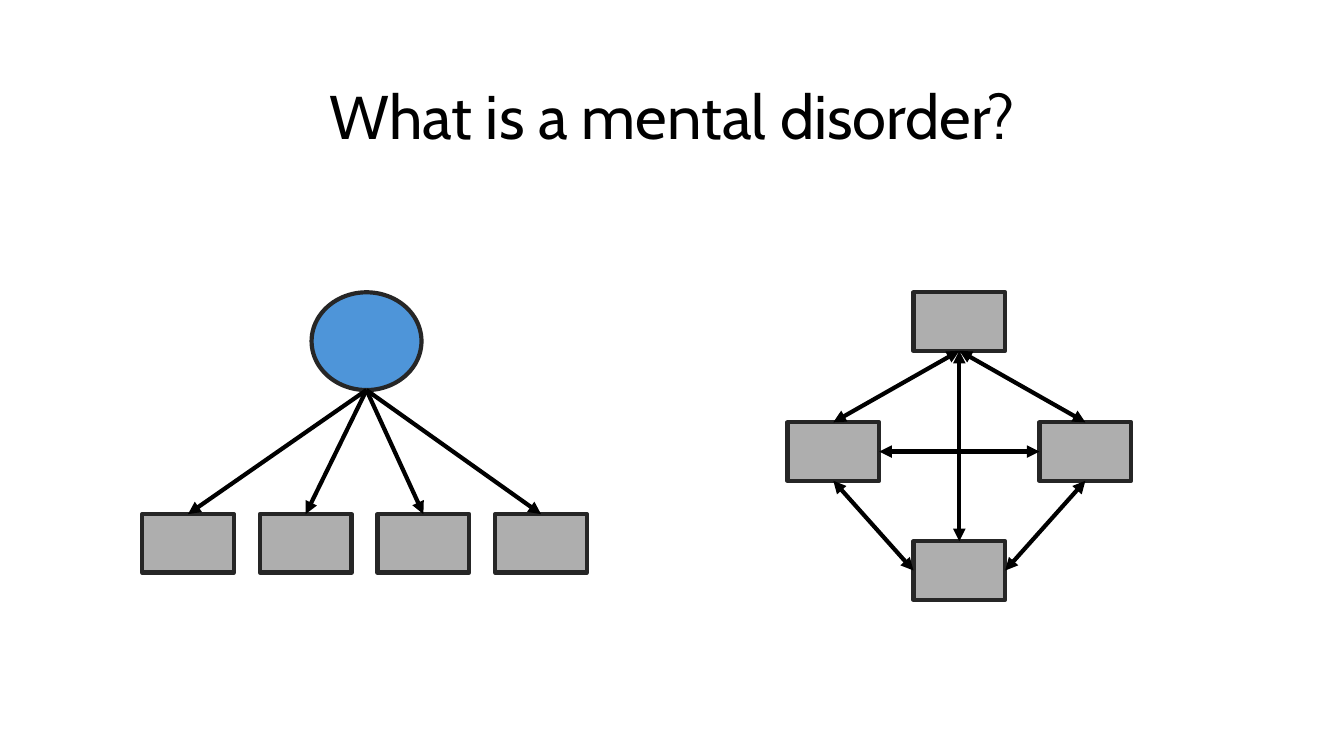
import pptx
import pptx.util
import pptx.dml.color
import pptx.enum.shapes
import pptx.enum.text
import pptx.oxml.ns
import lxml.etree

Inches = pptx.util.Inches
Pt = pptx.util.Pt
MSO = pptx.enum.shapes.MSO_SHAPE
TOP, LEFT, BOTTOM, RIGHT = range(4)

TITLE = "What is a mental disorder?"
BOX_W, BOX_H = 0.91, 0.58
CAUSE = (3.09, 2.9, 1.09, 0.97)
SYMPTOM_X, SYMPTOM_Y, SYMPTOM_STEP, SYMPTOM_COUNT = 1.41, 5.1, 1.167, 4
NETWORK = {
    "west": (7.81, 4.19),
    "north": (9.06, 2.9),
    "east": (10.31, 4.19),
    "south": (9.06, 5.37),
}
LINKS = [
    ("west", TOP, "north", BOTTOM),
    ("south", TOP, "north", BOTTOM),
    ("east", TOP, "north", BOTTOM),
    ("east", BOTTOM, "south", RIGHT),
    ("west", BOTTOM, "south", LEFT),
    ("west", RIGHT, "east", LEFT),
]


def rgb(color):
    return pptx.dml.color.RGBColor.from_string(color)


def add_text(s, text, x, y, w, h, size=18, font="Cabin", color="000000"):
    sp = s.shapes.add_textbox(Inches(x), Inches(y), Inches(w), Inches(h))
    tf = sp.text_frame
    tf.word_wrap = True
    tf.vertical_anchor = pptx.enum.text.MSO_ANCHOR.MIDDLE
    p = tf.paragraphs[0]
    p.alignment = pptx.enum.text.PP_ALIGN.CENTER
    p.line_spacing = 0.9
    r = p.add_run()
    r.text = text
    r.font.name = font
    r.font.size = Pt(size)
    r.font.color.rgb = rgb(color)


def add_node(s, x, y, w=BOX_W, h=BOX_H, kind=MSO.FLOWCHART_PROCESS, fill="AEAEAE"):
    sp = s.shapes.add_shape(kind, Inches(x), Inches(y), Inches(w), Inches(h))
    sp.shadow.inherit = False
    sp.fill.solid()
    sp.fill.fore_color.rgb = rgb(fill)
    sp.line.color.rgb = rgb("262626")
    sp.line.width = Pt(3)
    return sp


def add_arrow(s, target, target_side, start=(0, 0), source=None, source_side=None):
    x, y = (Inches(v) for v in start)
    cn = s.shapes.add_connector(pptx.enum.shapes.MSO_CONNECTOR.STRAIGHT, x, y, x, y)
    if source is not None:
        cn.begin_connect(source, source_side)
    cn.end_connect(target, target_side)
    cn.line.color.rgb = rgb("000000")
    cn.line.width = Pt(3)
    ln = cn.line._get_or_add_ln()
    for end in ("a:headEnd", "a:tailEnd") if source is not None else ("a:tailEnd",):
        lxml.etree.SubElement(ln, pptx.oxml.ns.qn(end), type="triangle")
    lxml.etree.SubElement(cn._element.spPr, pptx.oxml.ns.qn("a:effectLst"))


def main():
    prs = pptx.Presentation()
    prs.slide_width, prs.slide_height = Inches(13.33), Inches(7.5)
    s = prs.slides.add_slide(prs.slide_layouts[6])

    add_text(s, TITLE, 0.92, 0.46, 11.5, 1.45, size=44)

    symptoms = [add_node(s, SYMPTOM_X + i * SYMPTOM_STEP, SYMPTOM_Y)
                for i in range(SYMPTOM_COUNT)]
    x, y, w, h = CAUSE
    add_node(s, x, y, w, h, kind=MSO.FLOWCHART_CONNECTOR, fill="4E95D9")
    for symptom in symptoms:
        add_arrow(s, symptom, TOP, start=(x + w / 2, y + h))

    nodes = {name: add_node(s, *at) for name, at in NETWORK.items()}
    for source, source_side, target, target_side in LINKS:
        add_arrow(s, nodes[target], target_side,
                  source=nodes[source], source_side=source_side)

    prs.save("out.pptx")


if __name__ == "__main__":
    main()
